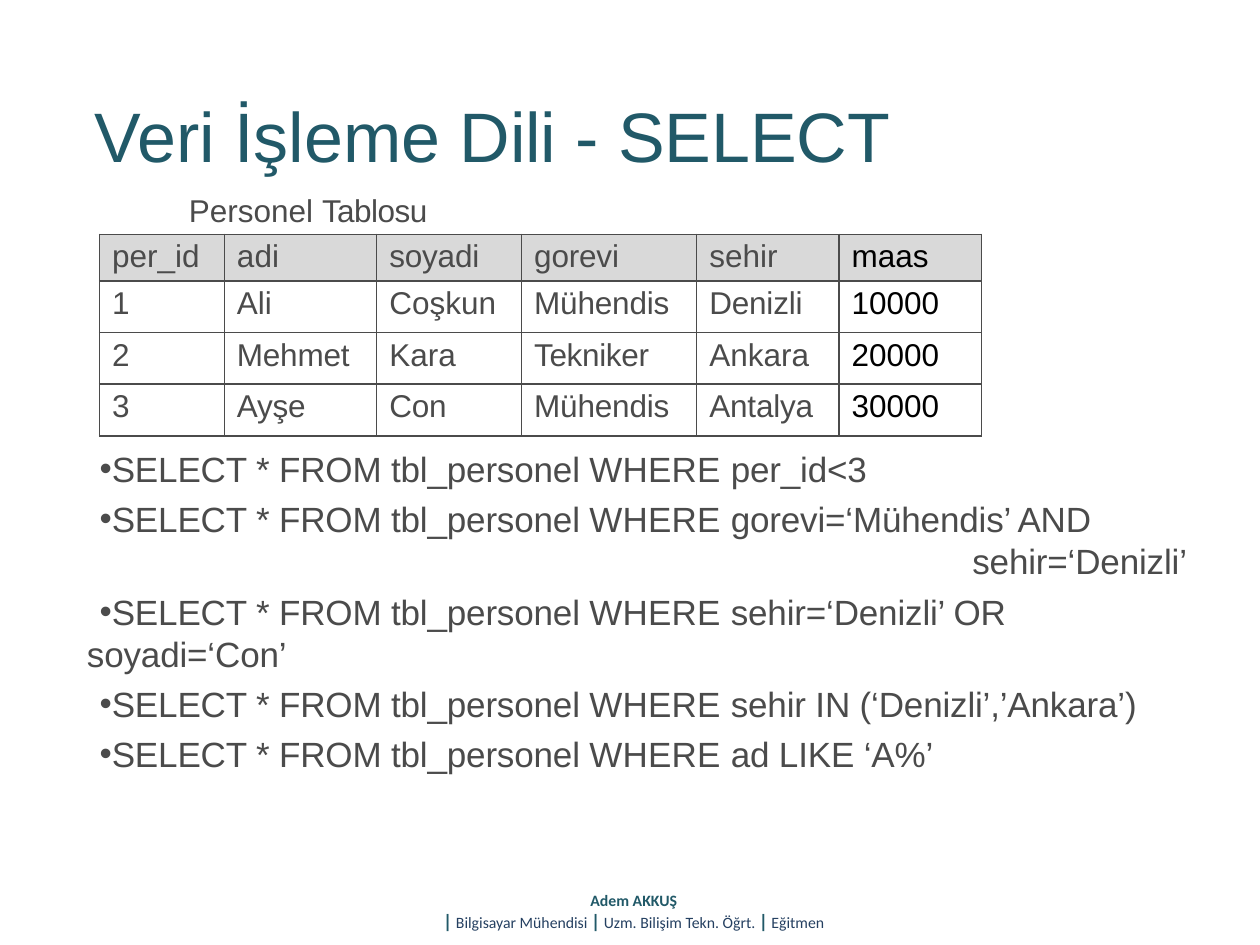
from lxml.etree import SubElement
from pptx import Presentation
from pptx.dml.color import RGBColor
from pptx.enum.text import MSO_ANCHOR, MSO_AUTO_SIZE, PP_ALIGN
from pptx.oxml import parse_xml
from pptx.oxml.ns import nsdecls, qn
from pptx.util import Inches, Pt

TEAL, NAVY, GRAY, BLACK, HEADER_FILL = "215968", "254061", "4B4B4B", "000000", "D9D9D9"


def set_frame(frame, top, right=0, anchor=MSO_ANCHOR.TOP):
    frame.word_wrap = True
    frame.auto_size = MSO_AUTO_SIZE.NONE
    frame.vertical_anchor = anchor
    frame.margin_left = frame.margin_bottom = 0
    frame.margin_top, frame.margin_right = Inches(top), Inches(right)


def add_run(paragraph, text, size, color, spacing=0, font="Arial", bold=False):
    run = paragraph.add_run()
    run.text = text
    run.font.size, run.font.name, run.font.bold = Pt(size), font, bold
    run.font.color.rgb = RGBColor.from_string(color)
    if spacing:  # character spacing in hundredths of a point
        run.font._element.set("spc", str(round(spacing * 100)))


presentation = Presentation()
presentation.slide_width, presentation.slide_height = Inches(10), Inches(7.5)
slide = presentation.slides.add_slide(presentation.slide_layouts[1])

# Title
title = slide.shapes.title
title.left, title.top, title.width, title.height = map(Inches, (0.69 + 0.06, 0.71, 8.58, 0.69))
set_frame(title.text_frame, 0.01, anchor=MSO_ANCHOR.BOTTOM)
heading = title.text_frame.paragraphs[0]
heading.alignment = PP_ALIGN.LEFT
heading.space_before = Pt(1)
for text, spacing in (("Veri İşleme ", 0), ("Dili ", -0.1), ("- SELECT", 0)):
    add_run(heading, text, 40, TEAL, spacing)

# Query list
queries = slide.placeholders[1]
queries.left, queries.top, queries.width, queries.height = map(Inches, (0.69, 3.47, 9.23, 2.38))
set_frame(queries.text_frame, 0.08, right=0.5)
conditions = ["per_id<3", "gorevi=‘Mühendis’ AND", None, "sehir=‘Denizli’ OR soyadi=‘Con’",
              "sehir IN (‘Denizli’,’Ankara’)", "ad LIKE ‘A%’"]
for index, condition in enumerate(conditions):
    query = queries.text_frame.paragraphs[0] if index == 0 else queries.text_frame.add_paragraph()
    properties = query._p.get_or_add_pPr()
    properties.set("marL", "0")
    properties.set("indent", str(Inches(0.1)))
    if condition is None:  # second half of the AND condition
        query.alignment = PP_ALIGN.RIGHT
        query.space_before = Pt(0)
        SubElement(properties, qn("a:buNone"))
        add_run(query, "sehir=‘Denizli’", 20, GRAY, -0.1)
        continue
    query.space_before = Pt(5.8 if index == 0 else 4.8)
    SubElement(properties, qn("a:buChar")).set("char", "•")
    add_run(query, "SELECT * FROM tbl_personel ", 20, GRAY, -0.1)
    add_run(query, "WHERE ", 20, GRAY, 0.1)
    add_run(query, condition, 20, GRAY, -0.1)

# Table caption
caption = slide.shapes.add_textbox(*map(Inches, (1.49, 1.51, 1.94, 0.33)))
set_frame(caption.text_frame, 0.01)
caption_line = caption.text_frame.paragraphs[0]
caption_line.space_before = Pt(1)
caption_line._p.get_or_add_pPr().set("marL", str(Inches(0.01)))
add_run(caption_line, "Personel ", 18, GRAY)
add_run(caption_line, "Tablosu", 18, GRAY, -0.3)

# Personnel table: each cell holds its text and character spacing
staff = [
    [("per_id", 0), ("adi", 0.1), ("soyadi", -0.1), ("gorevi", -0.1), ("sehir", 0), ("maas", 0)],
    [("1", 0), ("Ali", 0), ("Coşkun", 0), ("Mühendis", -0.1), ("Denizli", -0.1), ("10000", 0)],
    [("2", 0), ("Mehmet", -0.1), ("Kara", 0), ("Tekniker", -0.2), ("Ankara", 0), ("20000", 0)],
    [("3", 0), ("Ayşe", -0.1), ("Con", -0.1), ("Mühendis", -0.1), ("Antalya", -0.1), ("30000", 0)],
]
column_widths = [0.99, 1.21, 1.15, 1.39, 1.13, 1.13]
row_heights = [0.37, 0.41, 0.41, 0.41]
table = slide.shapes.add_table(len(staff), len(column_widths),
                               *map(Inches, (0.79, 1.86, 7.01, 1.58))).table
table.first_row = table.horz_banding = False
for column, width in zip(table.columns, column_widths):
    column.width = Inches(width)
for row, height in zip(table.rows, row_heights):
    row.height = Inches(height)

for r, record in enumerate(staff):
    for c, (text, spacing) in enumerate(record):
        cell = table.cell(r, c)
        cell.margin_left, cell.margin_right = Inches(0.1), 0
        cell.margin_top, cell.margin_bottom = Inches(0.04), 0
        if r == 0:
            cell.fill.solid()
            cell.fill.fore_color.rgb = RGBColor.from_string(HEADER_FILL)
        else:
            cell.fill.background()
        entry = cell.text_frame.paragraphs[0]
        entry.space_before = Pt(3.1 if r == 0 else 3.2)
        is_salary = c == len(record) - 1
        add_run(entry, text, 18, BLACK if is_salary else GRAY, spacing)
        # Borders come before the fill in the cell properties
        for position, side in enumerate("LRTB"):
            cell._tc.get_or_add_tcPr().insert(position, parse_xml(
                f'<a:ln{side} {nsdecls("a")} w="{Pt(1)}"><a:solidFill>'
                f'<a:srgbClr val="{GRAY}"/></a:solidFill></a:ln{side}>'))

# Footer: author and roles
footer = slide.shapes.add_textbox(*map(Inches, (2.93, 7.02, 4.2, 0.48)))
footer.text_frame.word_wrap = True
author = footer.text_frame.paragraphs[0]
author.alignment = PP_ALIGN.CENTER
add_run(author, "Adem AKKUŞ", 9, TEAL, font="Calibri", bold=True)
author.add_line_break()
for role in (" Bilgisayar Mühendisi ", " Uzm. Bilişim Tekn. Öğrt. ", " Eğitmen"):
    add_run(author, "|", 11, TEAL, font="Calibri", bold=True)
    add_run(author, role, 9, NAVY, font="Calibri")

presentation.save("out.pptx")
